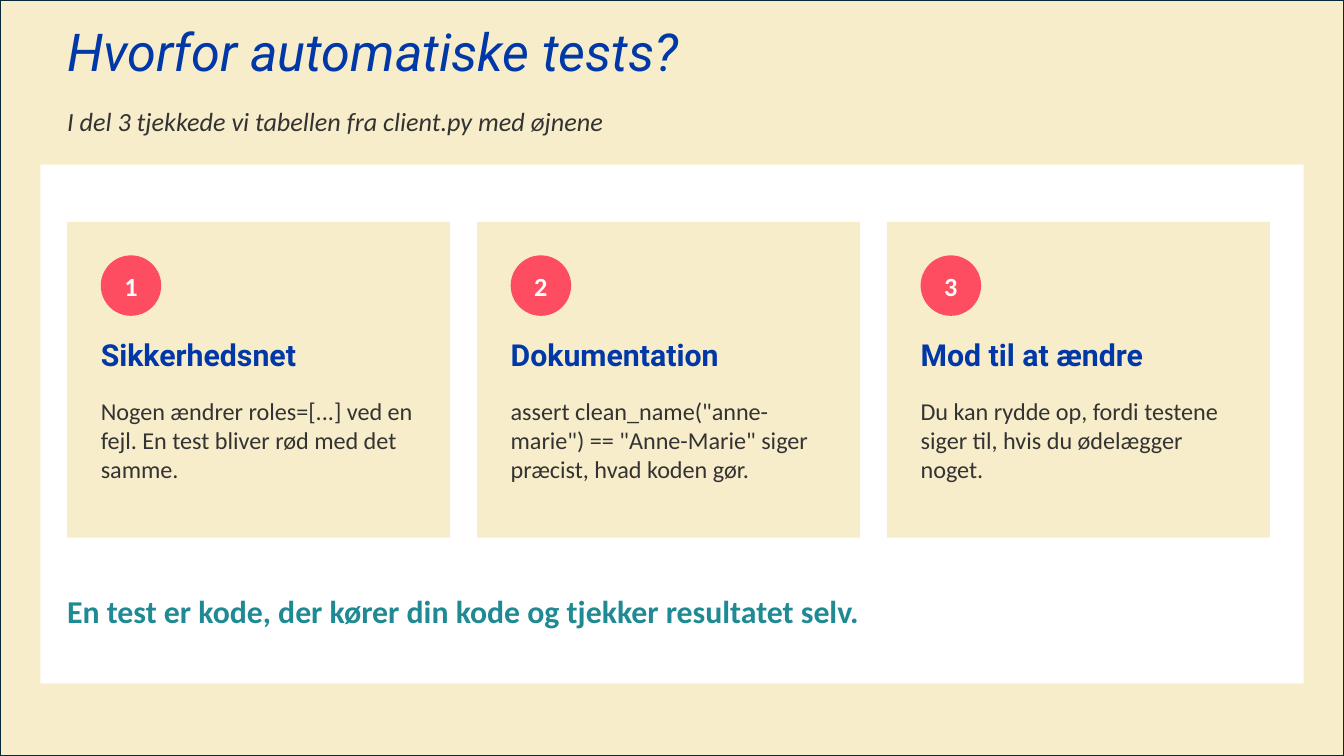
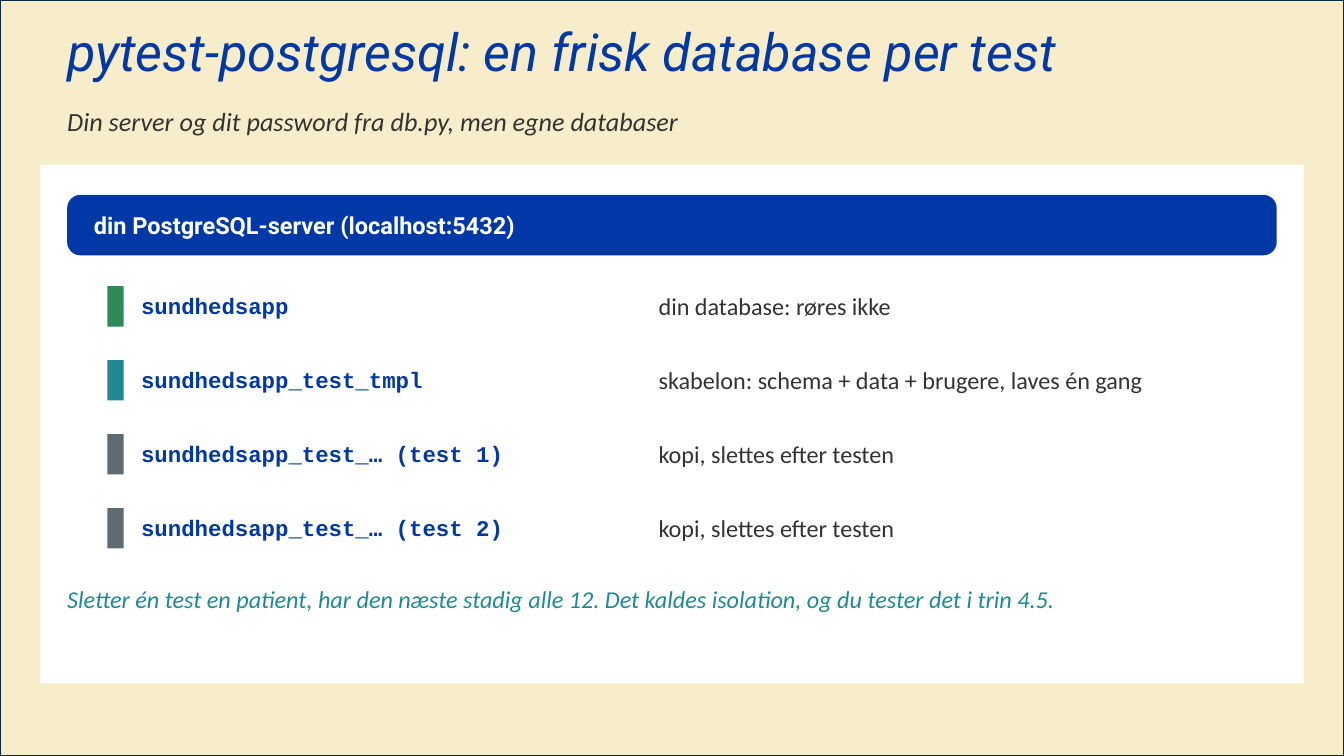
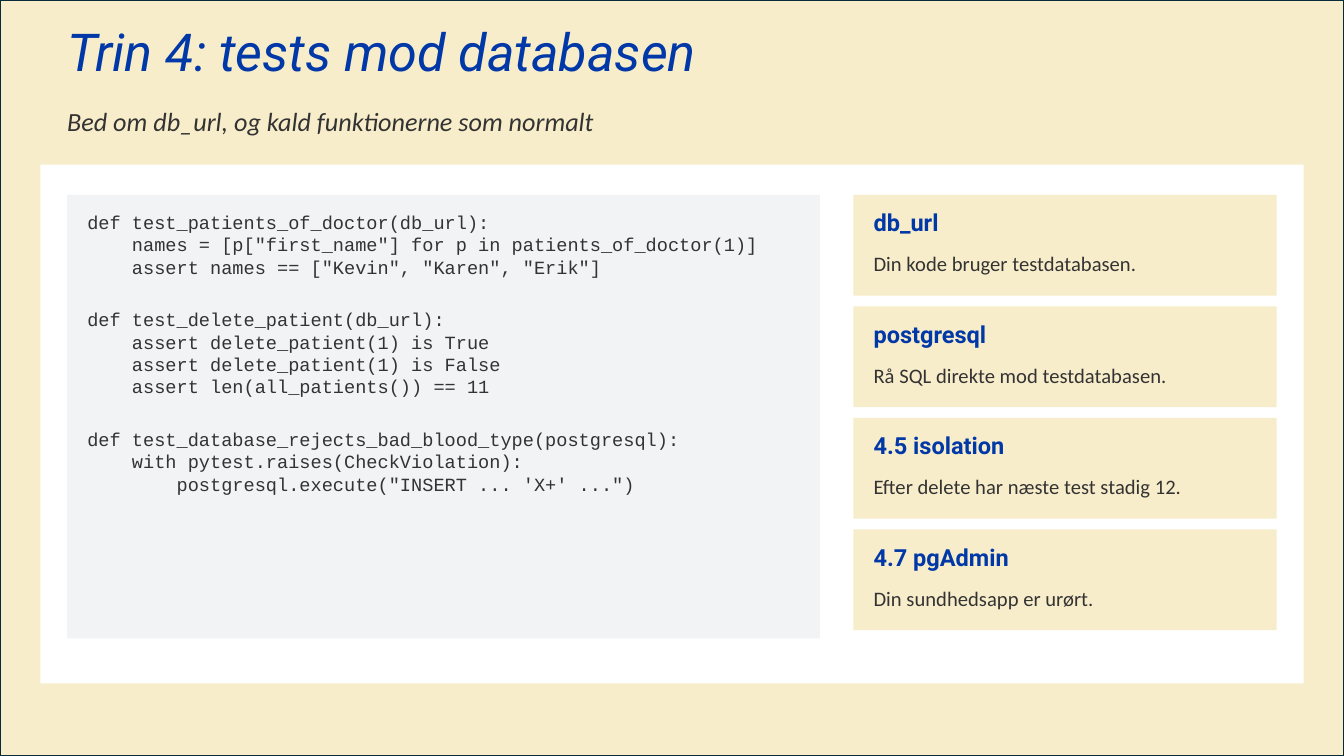
from pptx import Presentation
from pptx import util as u
from pptx.dml.color import RGBColor
from pptx.enum import shapes, text

EMU_PER_PX = 6096  # 150 px to the inch
SLIDE_WIDTH, SLIDE_HEIGHT = 2000, 1125
LEFT, WIDTH = 100, 1800
CONTENT_TOP = 290

COLORS = {
    "sand": "F8EDCA", "frame": "092A39", "white": "FFFFFF", "blue": "0038A8",
    "ink": "333333", "coral": "FE4C61", "teal": "1F8A93", "green": "2E8B57",
    "slate": "5F6B73", "code": "F2F3F4",
}

STYLES = {
    "title": {"name": "Roboto", "size": 37.3, "italic": True, "color": "blue"},
    "subtitle": {"name": "Calibri", "size": 18.7, "italic": True, "color": "ink"},
    "number": {"name": "Calibri", "size": 18.7, "bold": True, "color": "white"},
    "card heading": {"name": "Roboto", "size": 21.6, "bold": True, "color": "blue"},
    "body": {"name": "Calibri", "size": 17.3, "color": "ink"},
    "conclusion": {"name": "Calibri", "size": 22.7, "bold": True, "color": "teal"},
    "server": {"name": "Roboto", "size": 16.8, "bold": True, "color": "white"},
    "database": {"name": "Courier New", "size": 16, "bold": True, "color": "blue"},
    "note": {"name": "Calibri", "size": 17.3, "italic": True, "color": "teal"},
    "code": {"name": "Courier New", "size": 13.3, "color": "ink"},
    "fact heading": {"name": "Roboto", "size": 16.8, "bold": True, "color": "blue"},
    "fact": {"name": "Calibri", "size": 14.7, "color": "ink"},
}

REASONS = [
    ("Sikkerhedsnet",
     "Nogen ændrer roles=[...] ved en fejl. En test bliver rød med det samme."),
    ("Dokumentation",
     'assert clean_name("anne-marie") == "Anne-Marie" siger præcist, hvad koden gør.'),
    ("Mod til at ændre",
     "Du kan rydde op, fordi testene siger til, hvis du ødelægger noget."),
]

DATABASES = [
    ("green", "sundhedsapp", "din database: røres ikke"),
    ("teal", "sundhedsapp_test_tmpl", "skabelon: schema + data + brugere, laves én gang"),
    ("slate", "sundhedsapp_test_… (test 1)", "kopi, slettes efter testen"),
    ("slate", "sundhedsapp_test_… (test 2)", "kopi, slettes efter testen"),
]

TEST_FUNCTIONS = [
    '''def test_patients_of_doctor(db_url):
    names = [p["first_name"] for p in patients_of_doctor(1)]
    assert names == ["Kevin", "Karen", "Erik"]''',
    '''def test_delete_patient(db_url):
    assert delete_patient(1) is True
    assert delete_patient(1) is False
    assert len(all_patients()) == 11''',
    '''def test_database_rejects_bad_blood_type(postgresql):
    with pytest.raises(CheckViolation):
        postgresql.execute("INSERT ... 'X+' ...")''',
]

FACTS = [
    ("db_url", "Din kode bruger testdatabasen."),
    ("postgresql", "Rå SQL direkte mod testdatabasen."),
    ("4.5 isolation", "Efter delete har næste test stadig 12."),
    ("4.7 pgAdmin", "Din sundhedsapp er urørt."),
]


def px(length):
    return u.Emu(length * EMU_PER_PX)


def rgb(color):
    return RGBColor.from_string(COLORS[color])


def format_font(font, style):
    for attribute, value in STYLES[style].items():
        if attribute == "color":
            font.color.rgb = rgb(value)
        else:
            setattr(font, attribute, u.Pt(value) if attribute == "size" else value)


def write(shape, content, style, middle=False, align=text.PP_ALIGN.LEFT, left=0):
    """Fill the shape with one styled paragraph and return that paragraph."""
    frame = shape.text_frame
    settings = {
        "word_wrap": True, "margin_left": px(left), "margin_right": 0,
        "margin_top": 0, "margin_bottom": 0,
        "vertical_anchor": text.MSO_ANCHOR.MIDDLE if middle else text.MSO_ANCHOR.TOP,
    }
    for attribute, value in settings.items():
        setattr(frame, attribute, value)
    paragraph = frame.paragraphs[0]
    add_run(paragraph, content, style)
    paragraph.alignment = align
    return paragraph


def add_run(paragraph, content, style):
    run = paragraph.add_run()
    run.text = content
    format_font(run.font, style)


def add_text(slide, box, content, style, middle=False):
    shape = slide.shapes.add_textbox(*map(px, box))
    write(shape, content, style, middle)
    return shape


def add_block(slide, box, color, kind=shapes.MSO_SHAPE.RECTANGLE):
    shape = slide.shapes.add_shape(kind, *map(px, box))
    shape.shadow.inherit = False
    shape.fill.solid()
    shape.fill.fore_color.rgb = rgb(color)
    shape.line.fill.background()
    return shape


def add_backdrop(slide):
    """Place the framed sand background on the slide's layout."""
    backdrop = add_block(slide, (0, 0, SLIDE_WIDTH, SLIDE_HEIGHT), "sand")
    backdrop.line.color.rgb = rgb("frame")
    backdrop.line.width = u.Pt(1.5)
    slide.slide_layout.shapes._spTree.insert(2, backdrop._element)


def add_slide(presentation, title, subtitle):
    slide = presentation.slides.add_slide(presentation.slide_layouts[5])
    shape = slide.shapes.title
    shape.left, shape.top, shape.width, shape.height = map(px, (LEFT, 40, WIDTH, 110))
    write(shape, title, "title").line_spacing = 0.9
    shape.text_frame.auto_size = text.MSO_AUTO_SIZE.NONE
    add_block(slide, (60, 245, 1880, 772), "white")
    add_text(slide, (LEFT, 156, WIDTH, 70), subtitle, "subtitle")
    return slide


def add_reason(slide, number, left, heading, body):
    top, inner = 330, left + 50
    add_block(slide, (left, top, 570, 470), "sand")
    badge = add_block(slide, (inner, top + 50, 90, 90), "coral", shapes.MSO_SHAPE.OVAL)
    write(badge, str(number), "number", middle=True, align=text.PP_ALIGN.CENTER)
    add_text(slide, (inner, top + 170, 480, 90), heading, "card heading")
    add_text(slide, (inner, top + 260, 480, 200), body, "body")


def add_server(slide, label):
    bar = add_block(slide, (LEFT, CONTENT_TOP, WIDTH, 90), "blue",
                    shapes.MSO_SHAPE.ROUNDED_RECTANGLE)
    bar.adjustments[0] = 0.22
    write(bar, label, "server", middle=True, left=34)


def add_database(slide, top, color, name, role):
    add_block(slide, (160, top + 16, 24, 60), color)
    add_text(slide, (210, top, 760, 90), name, "database", middle=True)
    add_text(slide, (980, top, 920, 90), role, "body", middle=True)


def add_code(slide, functions):
    """Show the functions on a grey panel with a gap before each new one."""
    add_block(slide, (LEFT, CONTENT_TOP, 1120, 660), "code")
    first, *others = functions[0].splitlines()
    frame = add_text(slide, (130, 314, 1060, 620), first, "code").text_frame
    for lines in [others] + [function.splitlines() for function in functions[1:]]:
        for index, line in enumerate(lines):
            paragraph = frame.add_paragraph()
            add_run(paragraph, line, "code")
            if index == 0 and lines is not others:
                paragraph.space_before = u.Pt(21.6)


def add_fact(slide, top, heading, body):
    add_block(slide, (1270, top, 630, 150), "sand")
    add_text(slide, (1300, top + 20, 570, 60), heading, "fact heading")
    add_text(slide, (1300, top + 84, 570, 54), body, "fact")


def build_reasons(presentation):
    slide = add_slide(presentation, "Hvorfor automatiske tests?",
                      "I del 3 tjekkede vi tabellen fra client.py med øjnene")
    add_backdrop(slide)
    for index, reason in enumerate(REASONS):
        add_reason(slide, index + 1, LEFT + index * 610, *reason)
    add_text(slide, (LEFT, 880, WIDTH, 100),
             "En test er kode, der kører din kode og tjekker resultatet selv.", "conclusion")


def build_databases(presentation):
    slide = add_slide(presentation, "pytest-postgresql: en frisk database per test",
                      "Din server og dit password fra db.py, men egne databaser")
    add_server(slide, "din PostgreSQL-server (localhost:5432)")
    for index, database in enumerate(DATABASES):
        add_database(slide, 410 + index * 110, *database)
    add_text(slide, (LEFT, 870, WIDTH, 120),
             "Sletter én test en patient, har den næste stadig alle 12. "
             "Det kaldes isolation, og du tester det i trin 4.5.", "note")


def build_tests(presentation):
    slide = add_slide(presentation, "Trin 4: tests mod databasen",
                      "Bed om db_url, og kald funktionerne som normalt")
    add_code(slide, TEST_FUNCTIONS)
    for index, fact in enumerate(FACTS):
        add_fact(slide, CONTENT_TOP + index * 166, *fact)


def main():
    presentation = Presentation()
    presentation.slide_width, presentation.slide_height = px(SLIDE_WIDTH), px(SLIDE_HEIGHT)
    build_reasons(presentation)
    build_databases(presentation)
    build_tests(presentation)
    presentation.save("out.pptx")


if __name__ == "__main__":
    main()
